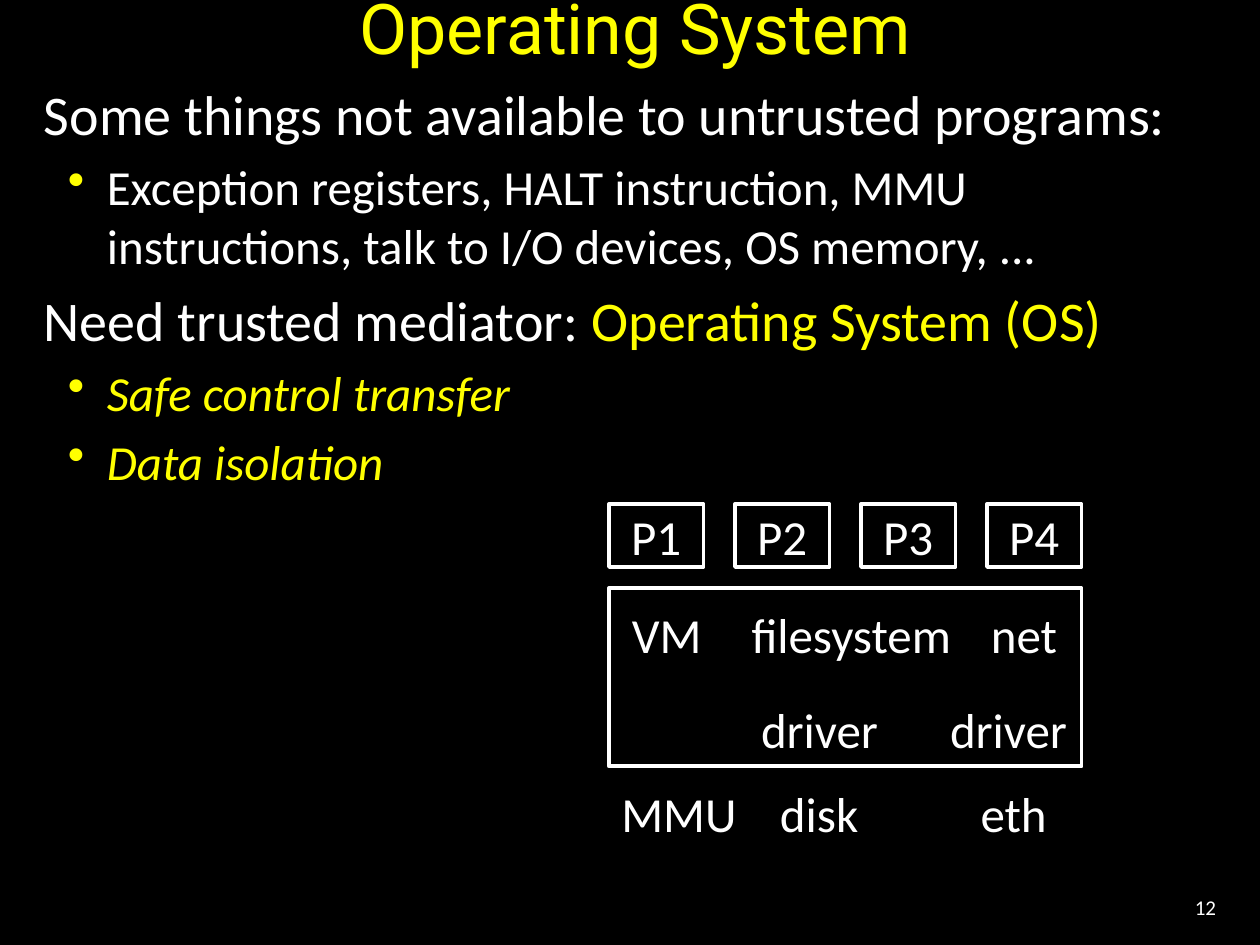
from dataclasses import dataclass

from lxml import etree
from pptx import Presentation
from pptx.dml.color import RGBColor
from pptx.enum.shapes import MSO_SHAPE
from pptx.enum.text import MSO_ANCHOR, MSO_AUTO_SIZE, PP_ALIGN
from pptx.oxml.ns import qn
from pptx.util import Inches, Pt

RECT = MSO_SHAPE.RECTANGLE
MIDDLE, TOP = MSO_ANCHOR.MIDDLE, MSO_ANCHOR.TOP
LEFT, CENTER, RIGHT = PP_ALIGN.LEFT, PP_ALIGN.CENTER, PP_ALIGN.RIGHT
FIT_SHAPE = MSO_AUTO_SIZE.SHAPE_TO_FIT_TEXT

COLORS = {"background": "000000", "text": "FFFFFF", "accent": "FFFF00"}

# The slide is a grid of 120 columns by 90 rows
prs = Presentation()
prs.slide_width, prs.slide_height = Inches(10), Inches(7.5)
COL, ROW = prs.slide_width / 120, prs.slide_height / 90


@dataclass
class Box:
    col: float
    row: float
    cols: float
    rows: float

    def emu(self) -> list[int]:
        return [round(self.col * COL), round(self.row * ROW),
                round(self.cols * COL), round(self.rows * ROW)]


@dataclass
class Span:
    text: str
    color: str = "text"
    italic: bool = False


@dataclass
class Item:
    spans: list[Span]
    bullet: bool = False


@dataclass
class Label:
    text: str
    col: float
    row: float
    cols: float


def rgb(name: str) -> RGBColor:
    return RGBColor.from_string(COLORS[name])


def style(r, size: float, color: str = "text", font: str = "Calibri") -> None:
    r.font.size, r.font.name = Pt(size), font
    r.font.color.rgb = rgb(color)


def fill_text(shape, text: str, size: float, align, anchor=MIDDLE,
              color: str = "text", font: str = "Calibri") -> None:
    tf = shape.text_frame
    tf.text = text
    tf.vertical_anchor = anchor
    p = tf.paragraphs[0]
    p.alignment = align
    style(p.runs[0], size, color, font)


def add_text(s, box: Box, text: str, size: float, align, **look) -> None:
    tb = s.shapes.add_textbox(*box.emu())
    tb.text_frame.word_wrap = True
    fill_text(tb, text, size, align, **look)


def add_frame(s, box: Box, text: str = "") -> None:
    sp = s.shapes.add_shape(RECT, *box.emu())
    sp.shadow.inherit = False
    sp.fill.background()
    sp.line.color.rgb = rgb("text")
    sp.line.width = Pt(2.25)
    if text:
        fill_text(sp, text, 28, CENTER)


def add_label(s, label: Label) -> None:
    box = Box(label.col, label.row, label.cols, 6.84)
    tb = s.shapes.add_textbox(*box.emu())
    tb.text_frame.word_wrap = False
    tb.text_frame.auto_size = FIT_SHAPE
    fill_text(tb, label.text, 28, LEFT, anchor=TOP)


def set_indent(p, bullet: bool) -> None:
    left, first = (0.5, -0.31) if bullet else (0.38, -0.38)
    pPr = p._p.get_or_add_pPr()
    pPr.set("marL", str(Inches(left)))
    pPr.set("indent", str(Inches(first)))
    if bullet:
        pPr.set("lvl", "1")
        color = etree.SubElement(pPr, qn("a:buClr"))
        etree.SubElement(color, qn("a:srgbClr")).set("val", COLORS["accent"])
        etree.SubElement(pPr, qn("a:buChar")).set("char", "•")
    else:
        etree.SubElement(pPr, qn("a:buNone"))


def add_body(s, box: Box, items: list[Item]) -> None:
    tf = s.shapes.add_textbox(*box.emu()).text_frame
    tf.word_wrap = True
    for i, item in enumerate(items):
        p = tf.add_paragraph() if i else tf.paragraphs[0]
        size = 28 if item.bullet else 32
        p.space_before = Pt(0.2 * size)
        set_indent(p, item.bullet)
        for span in item.spans:
            r = p.add_run()
            r.text = span.text
            style(r, size, span.color)
            r.font.italic = span.italic


BODY = [
    Item([Span("Some things not available to untrusted programs:")]),
    Item([Span("Exception registers, HALT instruction, MMU instructions, "
               "talk to I/O devices, OS memory, ...")], bullet=True),
    Item([Span("Need trusted mediator: "),
          Span("Operating System (OS)", "accent")]),
    Item([Span("Safe control transfer", "accent", italic=True)], bullet=True),
    Item([Span("Data isolation", "accent", italic=True)], bullet=True),
]

SERVICE_ROW, DRIVER_ROW, HARDWARE_ROW = 57, 66, 74
LABELS = [
    Label("VM", 59, SERVICE_ROW, 9.1),
    Label("filesystem", 70.4, SERVICE_ROW, 21.6),
    Label("net", 93.2, SERVICE_ROW, 8.8),
    Label("driver", 71.3, DRIVER_ROW, 13.7),
    Label("driver", 89.3, DRIVER_ROW, 13.7),
    Label("MMU", 58, HARDWARE_ROW, 13.6),
    Label("disk", 73.1, HARDWARE_ROW, 10),
    Label("eth", 92.2, HARDWARE_ROW, 8.8),
]

s = prs.slides.add_slide(prs.slide_layouts[6])
s.background.fill.solid()
s.background.fill.fore_color.rgb = rgb("background")

# Page number, title and body
add_text(s, Box(107, 84, 10, 4.8), "12", 12, RIGHT)
add_text(s, Box(2, 0, 117, 5), "Operating System", 40, CENTER,
         color="accent", font="Roboto")
add_body(s, Box(3, 7, 114, 45), BODY)

# Processes above the operating system
for n in range(4):
    add_frame(s, Box(58 + 12 * n, 48, 9, 6), f"P{n + 1}")
add_frame(s, Box(58, 56, 45, 17))

# Services, drivers and hardware
for label in LABELS:
    add_label(s, label)

prs.save("out.pptx")
